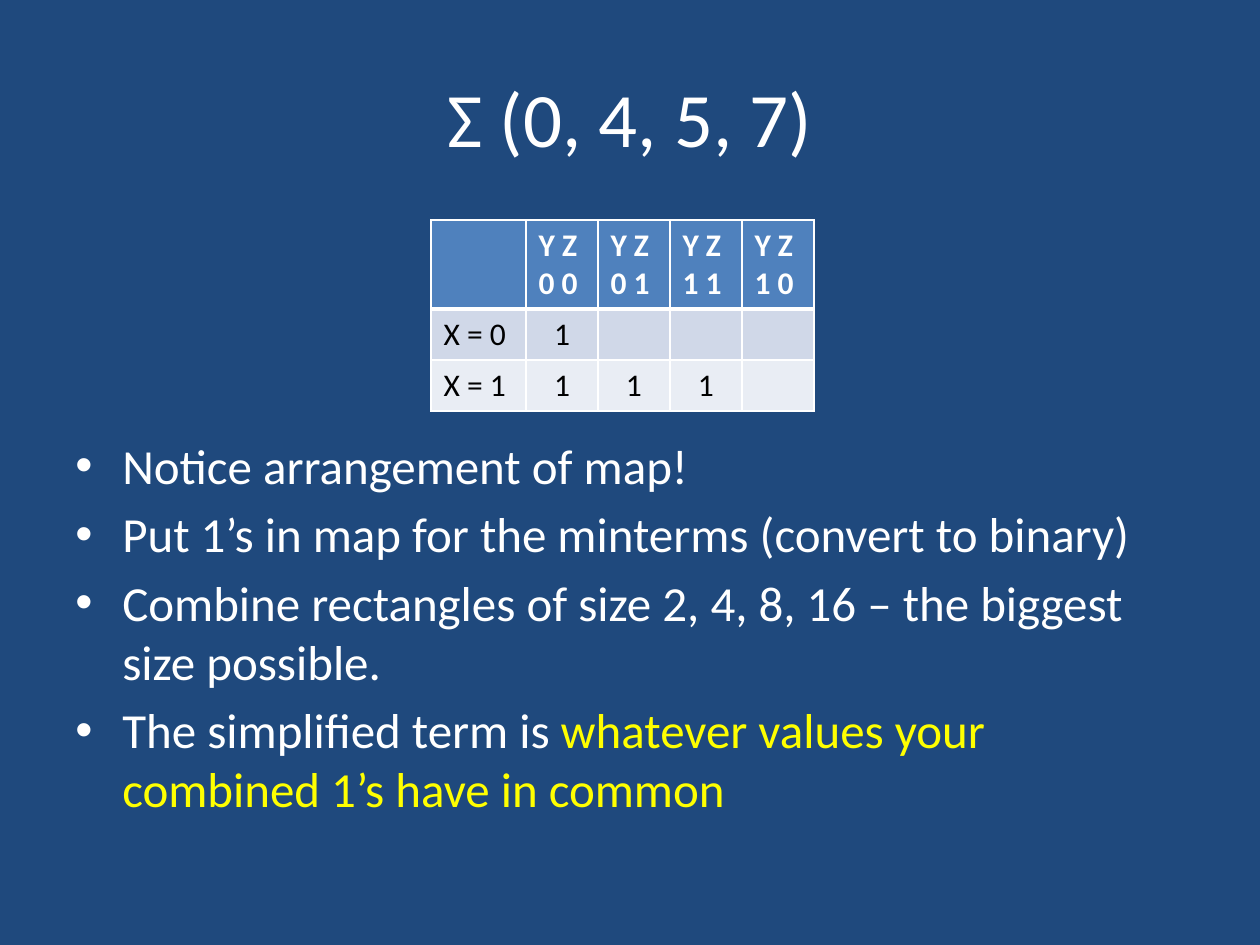
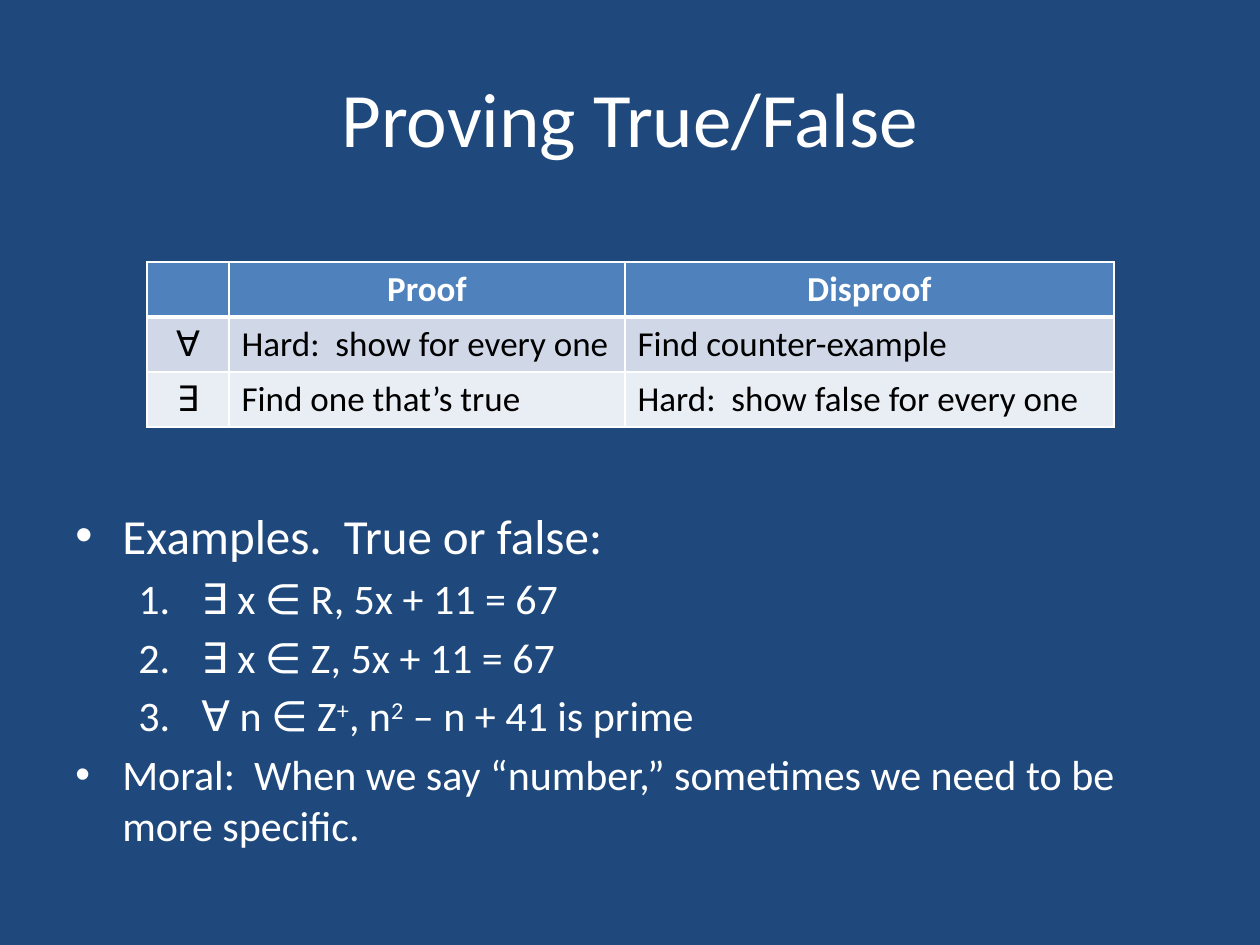
"""Build two slides on Karnaugh maps and on proving statements true or false."""
from dataclasses import dataclass

from lxml import etree
from pptx import Presentation
from pptx.dml.color import RGBColor
from pptx.enum.text import MSO_ANCHOR, PP_ALIGN
from pptx.oxml.ns import qn
from pptx.util import Emu, Pt

LEFT, CENTER = PP_ALIGN.LEFT, PP_ALIGN.CENTER
TOP, MIDDLE = MSO_ANCHOR.TOP, MSO_ANCHOR.MIDDLE
PX = 914400 / 126


@dataclass(frozen=True)
class Theme:
    font: str = "Calibri"
    background: str = "1F497D"
    text: str = "FFFFFF"
    accent: str = "FFFF00"
    header: str = "4F81BD"
    bands: tuple = ("D0D8E8", "E9EDF4")
    cell_text: str = "000000"
    border: str = "FFFFFF"
    title_size: int = 44
    body_size: int = 28
    small_size: int = 24
    thin: int = 1
    thick: int = 3


THEME = Theme()
BULLET = {"indent": (47, -47), "level": 0, "tag": "a:buChar", "mark": {"char": "•"}}
NUMBER = {"indent": (126, -63), "level": 1, "tag": "a:buAutoNum", "mark": {"type": "arabicPeriod"}}
PLAIN, YELLOW, RAISED = {}, {"color": THEME.accent}, {"baseline": 30000}

SLIDES = [
    {
        "title": "Σ (0, 4, 5, 7)",
        "table": {
            "at": (431, 220), "columns": [95] + [72] * 4, "rows": [89, 51, 51], "size": 18,
            "cells": [["", "Y Z\n0 0", "Y Z\n0 1", "Y Z\n1 1", "Y Z\n1 0"],
                      ["X = 0", "1", "", "", ""],
                      ["X = 1", "1", "1", "1", ""]],
            "header_align": LEFT, "column_aligns": [LEFT] + [CENTER] * 4,
        },
        "body_at": (63, 429, 1134, 415),
        "body": [
            (BULLET, THEME.body_size, [("Notice arrangement of map!", PLAIN)]),
            (BULLET, THEME.body_size, [("Put 1’s in map for the minterms (convert to binary)", PLAIN)]),
            (BULLET, THEME.body_size,
             [("Combine rectangles of size 2, 4, 8, 16 – the biggest size possible.", PLAIN)]),
            (BULLET, THEME.body_size,
             [("The simplified term is ", PLAIN),
              ("whatever values your combined 1’s have in common", YELLOW)]),
        ],
    },
    {
        "title": "Proving True/False",
        "table": {
            "at": (147, 262), "columns": [82, 396, 489], "rows": [55] * 3, "size": 20,
            "cells": [["", "Proof", "Disproof"],
                      ["∀", "Hard:  show for every one", "Find counter-example"],
                      ["∃", "Find one that’s true", "Hard:  show false for every one"]],
            "header_align": CENTER, "column_aligns": [CENTER, LEFT, LEFT],
        },
        "body_at": (63, 499, 1134, 414),
        "body": [
            (BULLET, THEME.body_size, [("Examples.  True or false:", PLAIN)]),
            (NUMBER, THEME.small_size, [("∃ x ∈ R, 5x + 11 = 67", PLAIN)]),
            (NUMBER, THEME.small_size, [("∃ x ∈ Z, 5x + 11 = 67", PLAIN)]),
            (NUMBER, THEME.small_size,
             [("∀ n ∈ Z", PLAIN), ("+", RAISED), (", n", PLAIN), ("2", RAISED),
              (" – n + 41 is prime", PLAIN)]),
            (BULLET, THEME.small_size,
             [("Moral:  When we say “number,” sometimes we need to be more specific.", PLAIN)]),
        ],
    },
]


def add_frame(page, at, anchor):
    """Add a wrapping text box and return its text frame."""
    frame = page.shapes.add_textbox(*(Emu(round(length * PX)) for length in at)).text_frame
    for name, value in {"word_wrap": True, "vertical_anchor": anchor}.items():
        setattr(frame, name, value)
    return frame


def write(paragraph, spans, size, color=THEME.text, align=LEFT, bold=False):
    """Fill a paragraph with formatted spans."""
    paragraph.alignment = align
    for text, style in spans:
        span = paragraph.add_run()
        span.text = text
        for name, value in {"name": THEME.font, "size": Pt(size), "bold": bold}.items():
            setattr(span.font, name, value)
        span.font.color.rgb = RGBColor.from_string(style.get("color", color))
        if "baseline" in style:
            span._r.get_or_add_rPr().set("baseline", str(style["baseline"]))


deck = Presentation()
deck.slide_width, deck.slide_height = Emu(round(1260 * PX)), Emu(round(945 * PX))

for content in SLIDES:
    page = deck.slides.add_slide(deck.slide_layouts[6])
    page.background.fill.solid()
    page.background.fill.fore_color.rgb = RGBColor.from_string(THEME.background)

    title = add_frame(page, (63, 38, 1134, 157), MIDDLE)
    write(title.paragraphs[0], [(content["title"], PLAIN)], THEME.title_size, align=CENTER)

    body = add_frame(page, content["body_at"], TOP)
    for index, (marker, size, spans) in enumerate(content["body"]):
        paragraph = body.add_paragraph() if index else body.paragraphs[0]
        paragraph.level = marker["level"]
        paragraph.space_before = Pt(size * 0.2 if index else 0)
        properties = paragraph._p.get_or_add_pPr()
        for name, length in zip(("marL", "indent"), marker["indent"]):
            properties.set(name, str(round(length * PX)))
        etree.SubElement(properties, qn("a:buFont"), typeface="Arial" if marker is BULLET else "+mj-lt")
        etree.SubElement(properties, qn(marker["tag"]), **marker["mark"])
        write(paragraph, spans, size)

    grid = content["table"]
    lengths = (*grid["at"], sum(grid["columns"]), sum(grid["rows"]))
    table = page.shapes.add_table(len(grid["rows"]), len(grid["columns"]),
                                  *(Emu(round(length * PX)) for length in lengths)).table
    for column, width in zip(table.columns, grid["columns"]):
        column.width = Emu(round(width * PX))
    for row, height in zip(table.rows, grid["rows"]):
        row.height = Emu(round(height * PX))

    for row_index, texts in enumerate(grid["cells"]):
        is_header = row_index == 0
        fill = THEME.header if is_header else THEME.bands[row_index - 1]
        color = THEME.text if is_header else THEME.cell_text
        widths = {"L": THEME.thin, "R": THEME.thin,
                  "T": THEME.thick if row_index == 1 else THEME.thin,
                  "B": THEME.thick if is_header else THEME.thin}
        for column_index, text in enumerate(texts):
            cell = table.cell(row_index, column_index)
            properties = cell._tc.get_or_add_tcPr()
            for side, width in widths.items():
                line = etree.SubElement(properties, qn(f"a:ln{side}"), w=str(Pt(width)))
                paint = etree.SubElement(line, qn("a:solidFill"))
                etree.SubElement(paint, qn("a:srgbClr"), val=THEME.border)
            cell.fill.solid()
            cell.fill.fore_color.rgb = RGBColor.from_string(fill)
            align = grid["header_align"] if is_header else grid["column_aligns"][column_index]
            for index, words in enumerate(text.split("\n") if text else []):
                frame = cell.text_frame
                paragraph = frame.add_paragraph() if index else frame.paragraphs[0]
                write(paragraph, [(words, PLAIN)], grid["size"], color, align, is_header)

deck.save("out.pptx")
